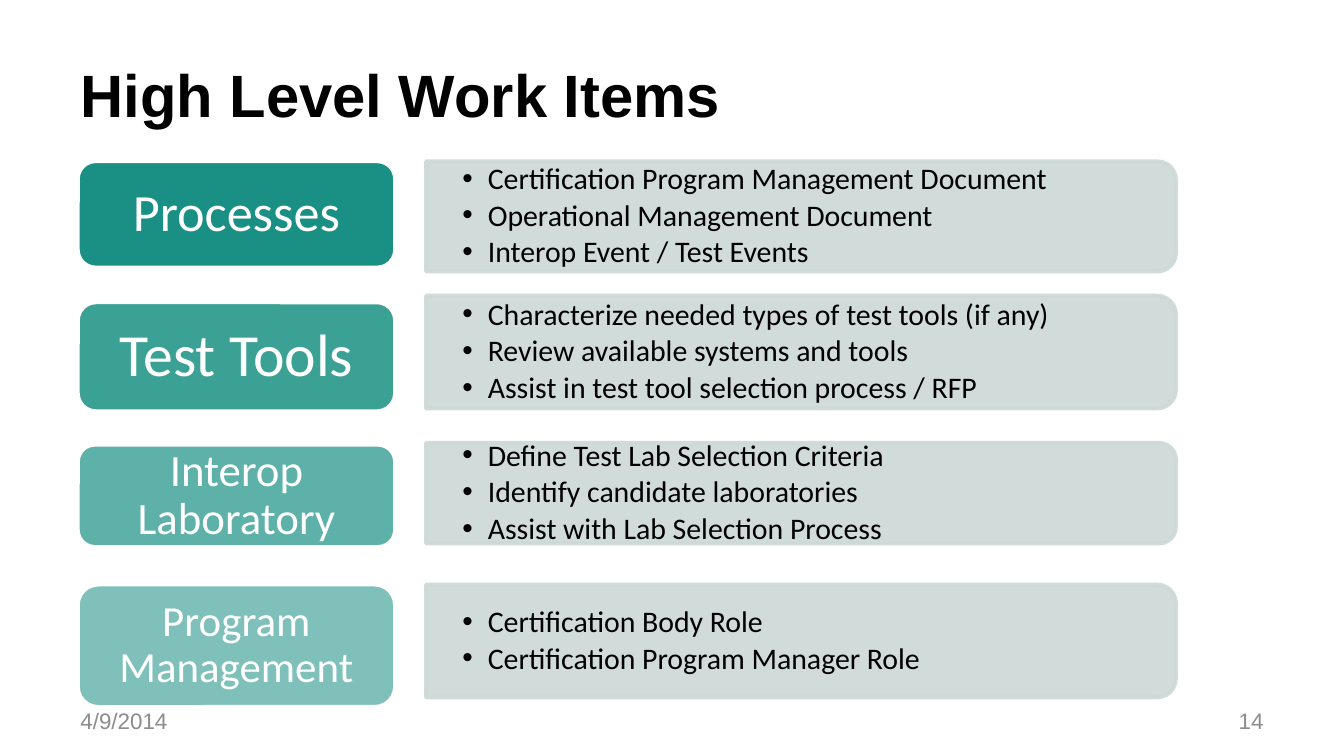
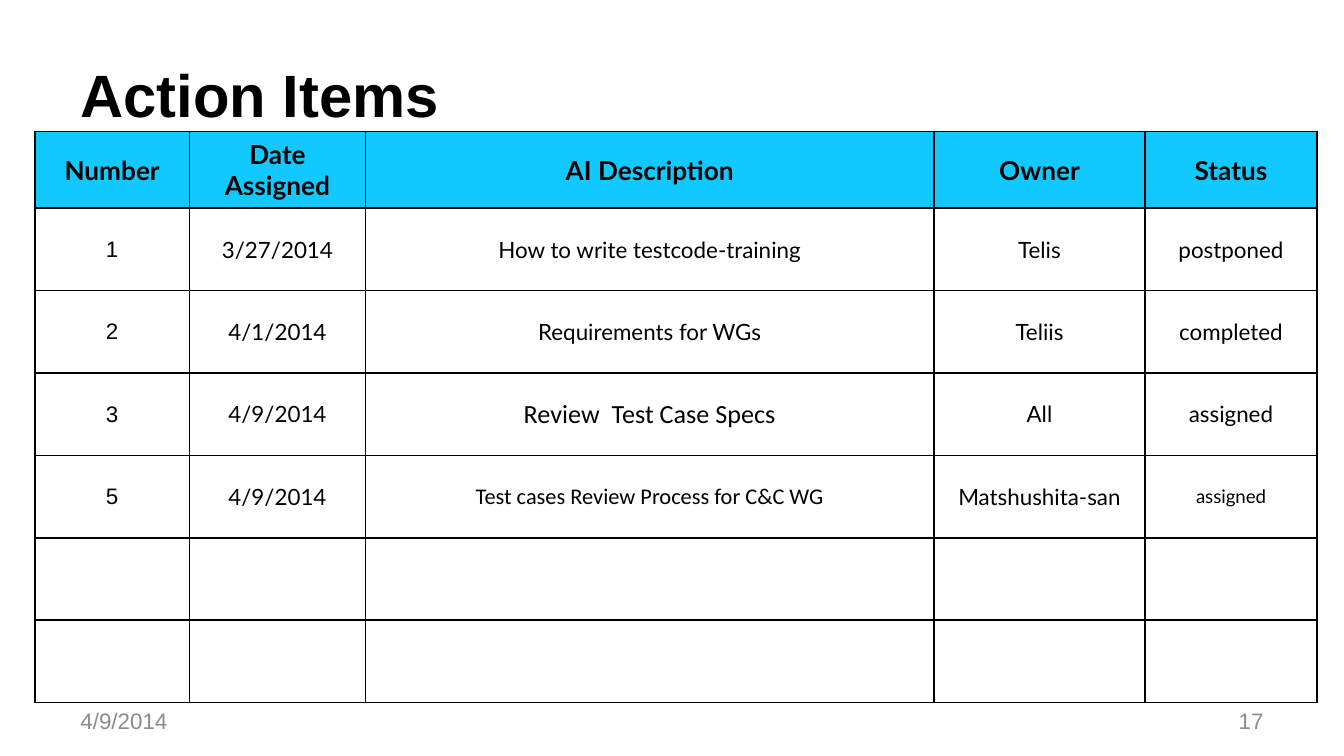
from lxml import etree
from pptx import Presentation
from pptx.dml.color import RGBColor
from pptx.enum.shapes import MSO_SHAPE
from pptx.enum.text import MSO_ANCHOR, PP_ALIGN
from pptx.oxml.ns import qn
from pptx.util import Pt

ROUND = MSO_SHAPE.ROUNDED_RECTANGLE
TOPS = MSO_SHAPE.ROUND_2_SAME_RECTANGLE
MID = MSO_ANCHOR.MIDDLE
LEFT, MIDDLE, RIGHT = PP_ALIGN.LEFT, PP_ALIGN.CENTER, PP_ALIGN.RIGHT

BLACK = RGBColor(0x00, 0x00, 0x00)
WHITE = RGBColor(0xFF, 0xFF, 0xFF)
GREY = RGBColor(0x8C, 0x8C, 0x8C)
TEAL = RGBColor(0x00, 0x85, 0x76)
MIST = RGBColor(0xCC, 0xD9, 0xD6)
CYAN = RGBColor(0x11, 0xC9, 0xFF)

PX = 9144
WIDE = 1000
HIGH = WIDE * 9 / 16
DATE = "4/9/2014"

ITEMS = [
    {"label": "Processes", "size": 28, "pad": (12, 6), "alpha": 90,
     "tag": (120, 79), "bar": (161, 82),
     "points": ["Certification Program Management Document",
                "Operational Management Document",
                "Interop Event / Test Events"]},
    {"label": "Test Tools", "size": 32, "pad": (13, 7), "alpha": 77,
     "tag": (225, 81), "bar": (262, 84),
     "points": ["Characterize needed types of test tools (if any)",
                "Review available systems and tools",
                "Assist in test tool selection process / RFP"]},
    {"label": "Interop Laboratory", "size": 24, "pad": (10, 5), "alpha": 63,
     "tag": (331, 76), "bar": (367, 75),
     "points": ["Define Test Lab Selection Criteria",
                "Identify candidate laboratories",
                "Assist with Lab Selection Process"]},
    {"label": "Program Management", "size": 23, "pad": (10, 5), "alpha": 50,
     "tag": (435, 91), "bar": (477, 84),
     "points": ["Certification Body Role",
                "Certification Program Manager Role"]},
]

HEADS = ["Number", "Date Assigned", "AI Description", "Owner", "Status"]
TASKS = [
    ["1", "3/27/2014", "How to write testcode-training", "Telis", "postponed"],
    ["2", "4/1/2014", "Requirements for WGs", "Teliis", "completed"],
    ["3", "4/9/2014", "Review  Test Case Specs", "All", "assigned"],
    ["5", "4/9/2014", "Test cases Review Process for C&C WG",
     "Matshushita-san", "assigned"],
    [""] * 5,
    [""] * 5,
]
COLS = [115, 131, 423, 157, 128]
HEAD_H, TABLE_H = 57, 425
FONTS = {(3, 2): ("Calibri", 14), (4, 2): ("Calibri", 12),
         (4, 4): ("Lato", 10)}


def px(*nums):
    return [round(n * PX) for n in nums]


def style(para, font, size, color, bold=False, align=LEFT):
    para.alignment = align
    for run in para.runs:
        run.font.name = font
        run.font.size = Pt(size)
        run.font.color.rgb = color
        run.font.bold = bold


def inset(box, side, top):
    box.margin_left = box.margin_right = px(side)[0]
    box.margin_top = box.margin_bottom = px(top)[0]


def frame(shape):
    text = shape.text_frame
    text.word_wrap = True
    text.vertical_anchor = MID
    return text


def box(slide, place, words, align):
    text = frame(slide.shapes.add_textbox(*px(*place)))
    text.text = words
    style(text.paragraphs[0], "Arial", 12, GREY, align=align)


def start(deck, title, page):
    slide = deck.slides.add_slide(deck.slide_layouts[5])
    head = slide.shapes.title
    head.left, head.top, head.width, head.height = px(50, 23, 900, 94)
    text = frame(head)
    text.text = title
    style(text.paragraphs[0], "Arial", 32, BLACK, True)
    box(slide, (50, 521, 233, 30), DATE, LEFT)
    box(slide, (717, 521, 233, 30), page, RIGHT)
    return slide


def fade(part, alpha):
    for node in part.iter(qn("a:srgbClr")):
        etree.SubElement(node, qn("a:alpha")).set("val", str(alpha * 1000))


def panel(slide, kind, place, fill, line, alpha):
    shape = slide.shapes.add_shape(kind, *px(*place))
    shape.shadow.inherit = False
    shape.fill.solid()
    shape.fill.fore_color.rgb = fill
    fade(shape._element.spPr, alpha)
    shape.line.color.rgb = line
    shape.line.width = Pt(2)
    return shape


def bullet(para):
    para.level = 1
    props = para._p.get_or_add_pPr()
    props.set("marL", str(19 * PX))
    props.set("indent", str(-19 * PX))
    para.line_spacing = 0.9
    para.space_after = Pt(2.4)
    etree.SubElement(props, qn("a:buFont")).set("typeface", "Arial")
    etree.SubElement(props, qn("a:buChar")).set("char", "•")


def draw_item(slide, item):
    mid, high = item["bar"]
    wide, center = 558, 596
    bar = panel(slide, TOPS, (center - high / 2, mid - wide / 2, high, wide),
                MIST, MIST, 90)
    bar.rotation = 90
    fade(bar.line._get_or_add_ln(), 90)
    text = frame(slide.shapes.add_textbox(
        *px(317, mid - high / 2 + 4, 554, high - 8)))
    inset(text, 27, 14)
    text.text = "\n".join(item["points"])
    for para in text.paragraphs:
        bullet(para)
        style(para, "Calibri", 16, BLACK)

    top, high = item["tag"]
    tag = panel(slide, ROUND, (58, top, 236, high), TEAL, WHITE, item["alpha"])
    text = frame(tag)
    inset(text, *item["pad"])
    text.text = item["label"]
    para = text.paragraphs[0]
    para.line_spacing = 0.9
    style(para, "Calibri", item["size"], WHITE, align=MIDDLE)


def border(cell):
    props = cell._tc.get_or_add_tcPr()
    for i, side in enumerate(("lnL", "lnR", "lnT", "lnB")):
        line = etree.Element(qn("a:" + side), w=str(Pt(1)))
        fill = etree.SubElement(line, qn("a:solidFill"))
        etree.SubElement(fill, qn("a:srgbClr")).set("val", str(BLACK))
        props.insert(i, line)


def draw_table(slide):
    rows = [HEADS] + TASKS
    grid = slide.shapes.add_table(
        len(rows), len(COLS), *px(26, 98, sum(COLS), TABLE_H)).table
    grid.first_row = grid.horz_banding = False
    for col, wide in zip(grid.columns, COLS):
        col.width = px(wide)[0]
    for r, row in enumerate(rows):
        high = (TABLE_H - HEAD_H) / len(TASKS) if r else HEAD_H
        grid.rows[r].height = px(high)[0]
        for c, words in enumerate(row):
            cell = grid.cell(r, c)
            cell.text = words
            cell.vertical_anchor = MID
            inset(cell, 13, 5)
            if r:
                cell.fill.background()
                base = ("Lato" if c else "Arial", 12)
            else:
                cell.fill.solid()
                cell.fill.fore_color.rgb = CYAN
                base = ("Lato", 14)
            font, size = FONTS.get((r, c), base)
            style(cell.text_frame.paragraphs[0], font, size, BLACK,
                  r == 0, MIDDLE)
            border(cell)


def main():
    deck = Presentation()
    deck.slide_width, deck.slide_height = px(WIDE, HIGH)
    work = start(deck, "High Level Work Items", "14")
    for item in ITEMS:
        draw_item(work, item)
    draw_table(start(deck, "Action Items", "17"))
    deck.save("out.pptx")


if __name__ == "__main__":
    main()
